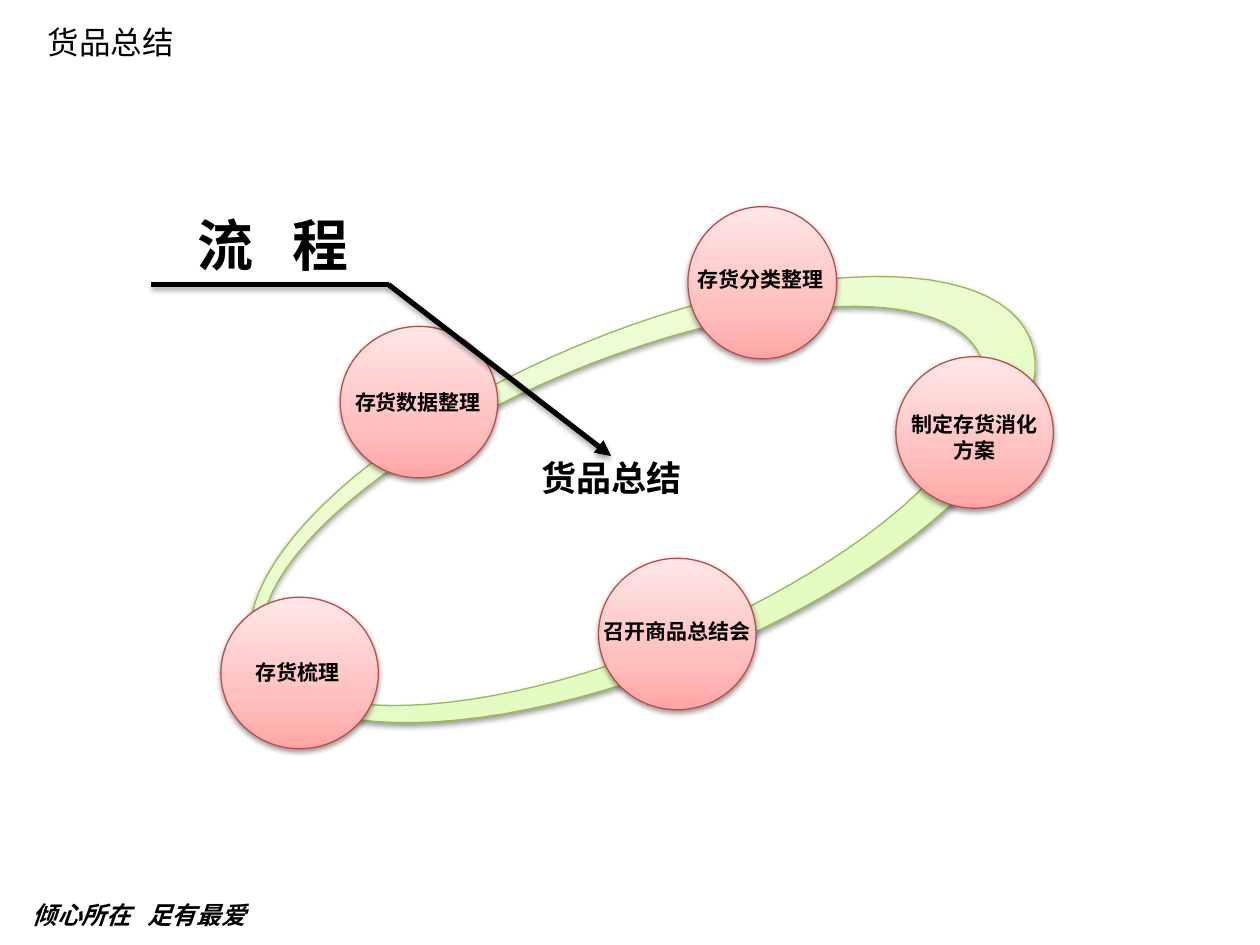
from math import cos, pi, sin

from lxml import etree
from pptx import Presentation
from pptx.dml.color import RGBColor
from pptx.enum.shapes import MSO_CONNECTOR, MSO_SHAPE
from pptx.enum.text import MSO_ANCHOR, PP_ALIGN
from pptx.oxml.ns import qn
from pptx.util import Pt

OVAL = MSO_SHAPE.OVAL
STRAIGHT = MSO_CONNECTOR.STRAIGHT
MIDDLE = MSO_ANCHOR.MIDDLE
LEFT, CENTER = PP_ALIGN.LEFT, PP_ALIGN.CENTER

CJK, SANS = "Noto Sans CJK SC", "DejaVu Sans"
BLACK = "000000"

# Content: (text, circle box, label box, wraps), boxes as left, top, width, height
STEPS = [
    ("存货数据整理", (194.4, 186.5, 90, 86.6), (195.8, 218.9, 87.1, 21.8), False),
    ("存货分类整理", (393.1, 118.1, 85, 87), (391.7, 148.3, 87.1, 21.8), False),
    ("召开商品总结会", (342, 319, 90, 86.6), (337.7, 349.9, 99.4, 21.8), False),
    ("存货梳理", (126.2, 341.3, 90, 86.6), (139, 373, 63.4, 21.8), False),
    ("制定存货消化方案", (511.9, 203.8, 90, 86.6), (509.8, 231.8, 94.3, 36), True),
]
# Text, box, size, font, alignment, bold, italic
CAPTIONS = [
    ("倾心所在   足有最爱", (11.5, 511.2, 177.8, 23), 14, CJK, LEFT, True, True),
    ("货品总结", (20.2, 9.4, 131, 28.8), 18, CJK, LEFT, False, False),
    ("货品总结", (287.3, 257, 124.6, 31.7), 20, CJK, CENTER, True, False),
    ("流  程", (80.6, 116.6, 150.5, 46.1), 32, SANS, CENTER, True, False),
]
# From, to, arrowhead
POINTER = [
    ((222, 162.6), (349.2, 260.6), True),
    ((222.5, 162.6), (86.4, 162.6), False),
]
# Ellipses as centre x, centre y, half width, half height, direction
RING = [
    (367.2, 285.5, 239.8, 95.4, 1),
    (355.8, 284.7, 221.2, 82.4, -1),
]
RING_ROTATION = 337.4
RING_POINTS = 96

GREEN_STOPS = [(0, "DAFDA7"), (35, "E4FCC2"), (100, "F5FFE7")]
RED_STOPS = [(0, "FFA6A5"), (35, "FFC0BF"), (100, "FFE7E7")]
GREEN_LINE, RED_LINE = "98B955", "BF4C48"


def color(value):
    return RGBColor.from_string(value)


def points(values):
    return [Pt(value) for value in values]


def add_node(parent, tag, **attributes):
    return etree.SubElement(parent, qn(tag), attributes)


def add_shadow(effects, distance, opacity):
    shadow = add_node(effects, "a:outerShdw", blurRad=str(Pt(3.15)),
                      dist=str(Pt(distance)), dir="5400000", rotWithShape="0")
    shade = add_node(shadow, "a:srgbClr", val=BLACK)
    add_node(shade, "a:alpha", val=str(opacity * 1000))


def style(shape, stops, outline):
    shape.fill.gradient()
    shape.fill.gradient_angle = 90
    properties = shape.element.spPr
    stop_list = properties.find(qn("a:gradFill")).find(qn("a:gsLst"))
    for old_stop in list(stop_list):
        stop_list.remove(old_stop)
    for position, value in stops:
        stop = add_node(stop_list, "a:gs", pos=str(position * 1000))
        add_node(stop, "a:srgbClr", val=value)
    shape.line.color.rgb = color(outline)
    shape.line.width = Pt(0.75)
    shape.shadow.inherit = False
    add_shadow(properties.find(qn("a:effectLst")), 1.6, 38)


def add_text(slide, text, box, size, font=CJK, align=LEFT, bold=True,
             italic=False, wrap=True):
    frame = slide.shapes.add_textbox(*points(box)).text_frame
    frame.word_wrap = wrap
    frame.vertical_anchor = MIDDLE
    paragraph = frame.paragraphs[0]
    paragraph.alignment = align
    run = paragraph.add_run()
    run.text = text
    run.font.size = Pt(size)
    run.font.bold = bold
    run.font.italic = italic
    run.font.color.rgb = color(BLACK)
    run.font.name = font
    add_node(run.font._element, "a:ea", typeface=font)


def ellipse_points(x, y, half_width, half_height, direction):
    angles = [direction * 2 * pi * i / RING_POINTS for i in range(RING_POINTS)]
    return [points((x + half_width * cos(a), y + half_height * sin(a)))
            for a in angles]


def add_ring(slide):
    outer, inner = [ellipse_points(*ellipse) for ellipse in RING]
    builder = slide.shapes.build_freeform(*outer[0])
    builder.add_line_segments(outer[1:], close=True)
    builder.move_to(*inner[0])
    builder.add_line_segments(inner[1:], close=True)
    ring = builder.convert_to_shape()
    ring.rotation = RING_ROTATION
    style(ring, GREEN_STOPS, GREEN_LINE)


def add_pointer(slide, start, end, arrowhead):
    pointer = slide.shapes.add_connector(STRAIGHT, *points(start + end))
    pointer.line.color.rgb = color(BLACK)
    pointer.line.width = Pt(3)
    properties = pointer._element.spPr
    if arrowhead:
        add_node(properties.find(qn("a:ln")), "a:tailEnd", type="triangle")
    add_shadow(add_node(properties, "a:effectLst"), 1.8, 35)


def main():
    deck = Presentation()
    deck.slide_width, deck.slide_height = Pt(720), Pt(540)
    slide = deck.slides.add_slide(deck.slide_layouts[6])

    # Ring and the steps on it
    add_ring(slide)
    for text, circle_box, label_box, wraps in STEPS:
        circle = slide.shapes.add_shape(OVAL, *points(circle_box))
        style(circle, RED_STOPS, RED_LINE)
        add_text(slide, text, label_box, 12, wrap=wraps,
                 align=CENTER if wraps else LEFT)

    # Bent arrow from the heading to the centre, then the free texts
    for start, end, arrowhead in POINTER:
        add_pointer(slide, start, end, arrowhead)
    for caption in CAPTIONS:
        add_text(slide, *caption)

    deck.save("out.pptx")


if __name__ == "__main__":
    main()
